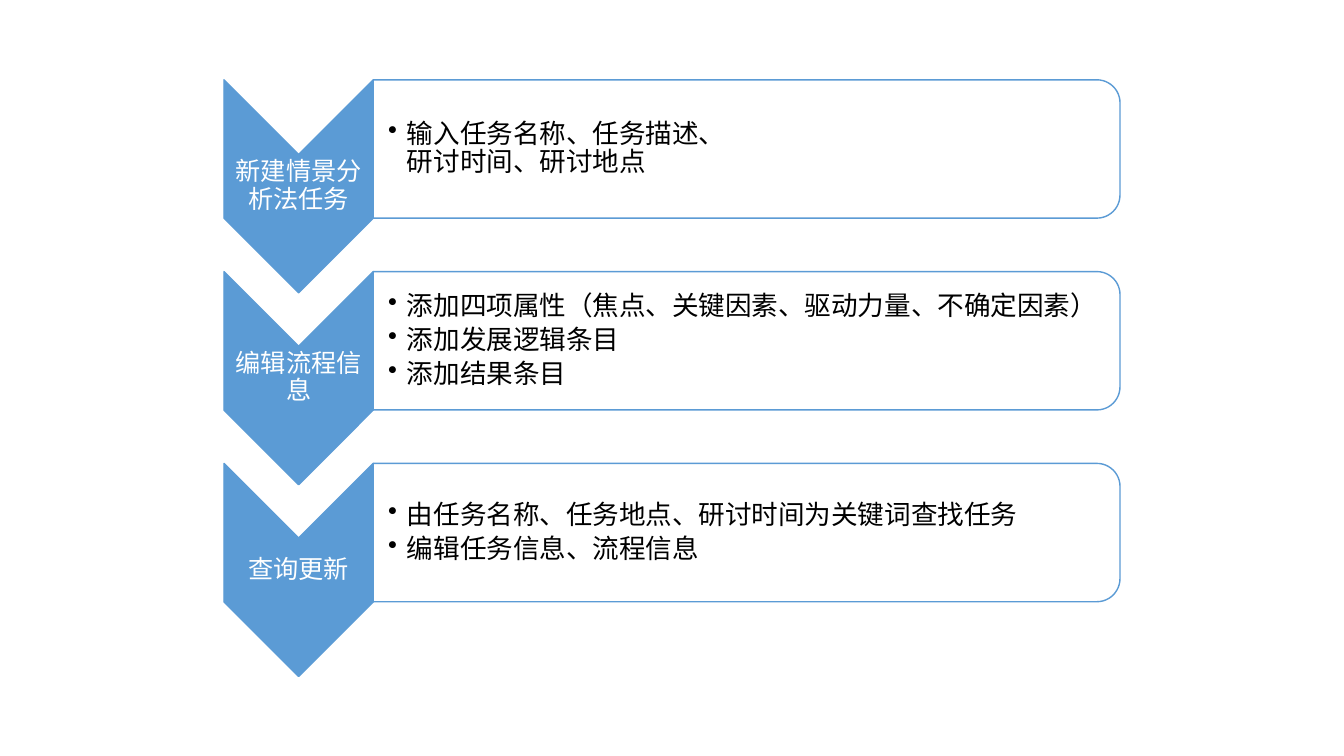
from dataclasses import dataclass

from lxml import etree
from pptx import Presentation
from pptx.dml.color import RGBColor as Rgb
from pptx.enum import shapes as s, text as t
from pptx.oxml import ns
from pptx.util import Pt


@dataclass(frozen=True)
class Theme:
    """Colours, font and type sizes."""
    blue: Rgb = Rgb(0x5B, 0x9B, 0xD5)
    white: Rgb = Rgb(255, 255, 255)
    black: Rgb = Rgb(0, 0, 0)
    font: str = "Calibri"
    label: int = 18
    item: int = 19


THEME = Theme()
STEPS = [
    ("新建情景分析法任务", ["输入任务名称、任务描述、\v研讨时间、研讨地点"]),
    ("编辑流程信息", ["添加四项属性（焦点、关键因素、驱动力量、不确定因素）",
                "添加发展逻辑条目", "添加结果条目"]),
    ("查询更新", ["由任务名称、任务地点、研讨时间为关键词查找任务",
              "编辑任务信息、流程信息"]),
]


def turned(group, kind, box, fill):
    """Add a preset shape turned by 90 degrees that fills the box."""
    x, y, w, h = box
    shape = group.shapes.add_shape(
        kind, Pt(x + (w - h) / 2), Pt(y + (h - w) / 2), Pt(h), Pt(w))
    shape.rotation = 90
    shape.shadow.inherit = False
    shape.fill.solid()
    shape.fill.fore_color.rgb = fill
    shape.line.color.rgb = THEME.blue
    shape.line.width = Pt(1)


def write(group, box, lines, size, color, after, inset=1):
    """Add a middle-anchored text box and return its paragraphs."""
    frame = group.shapes.add_textbox(*map(Pt, box)).text_frame
    frame.word_wrap = True
    frame.vertical_anchor = t.MSO_ANCHOR.MIDDLE
    frame.margin_left = Pt(inset)
    frame.margin_right = frame.margin_top = frame.margin_bottom = Pt(1)
    frame.text = "\n".join(lines)
    for para in frame.paragraphs:
        para.line_spacing = 0.9
        para.space_after = Pt(after)
        para.font.name = THEME.font
        para.font.size = Pt(size)
        para.font.color.rgb = color
    return frame.paragraphs


def bullet(para, indent):
    """Give a paragraph a round bullet with a hanging indent."""
    para.level = 1
    props = para._p.get_or_add_pPr()
    props.set("marL", str(Pt(indent)))
    props.set("indent", str(Pt(-indent)))
    mark = etree.Element(ns.qn("a:buChar"), char="•")
    props.find(ns.qn("a:defRPr")).addprevious(mark)


def step(slide, box, label, items):
    """Draw one step: a chevron with its label and a panel with its list."""
    x, y, w, h = box
    arrow = 106.6
    panel = 98.8
    left, wide = x + arrow, w - arrow
    group = slide.shapes.add_group_shape()
    turned(group, s.MSO_SHAPE.CHEVRON, (x, y, arrow, h), THEME.blue)
    name = write(group, (x, y + 53.3, arrow, h - 2 * 53.3), [label],
                 THEME.label, THEME.white, 6)
    name[0].alignment = t.PP_ALIGN.CENTER
    turned(group, s.MSO_SHAPE.ROUND_2_SAME_RECTANGLE,
           (left, y, wide, panel), THEME.white)
    for para in write(group, (left, y + 4.8, wide - 5, panel - 9.6), items,
                      THEME.item, THEME.black, 4, 10.6):
        bullet(para, 13.5)


def flow(slide, box, gap):
    """Stack the steps down the box at an equal pitch."""
    x, y, w, h = box
    tall = h - gap * (len(STEPS) - 1)
    for i, (label, items) in enumerate(STEPS):
        step(slide, (x, y + i * gap, w, tall), label, items)


def main():
    """Build and save the slide."""
    deck = Presentation()
    deck.slide_width, deck.slide_height = Pt(960), Pt(540)
    slide = deck.slides.add_slide(deck.slide_layouts[6])
    flow(slide, (160, 57, 640, 426.2), 137)
    deck.save("out.pptx")


main()
